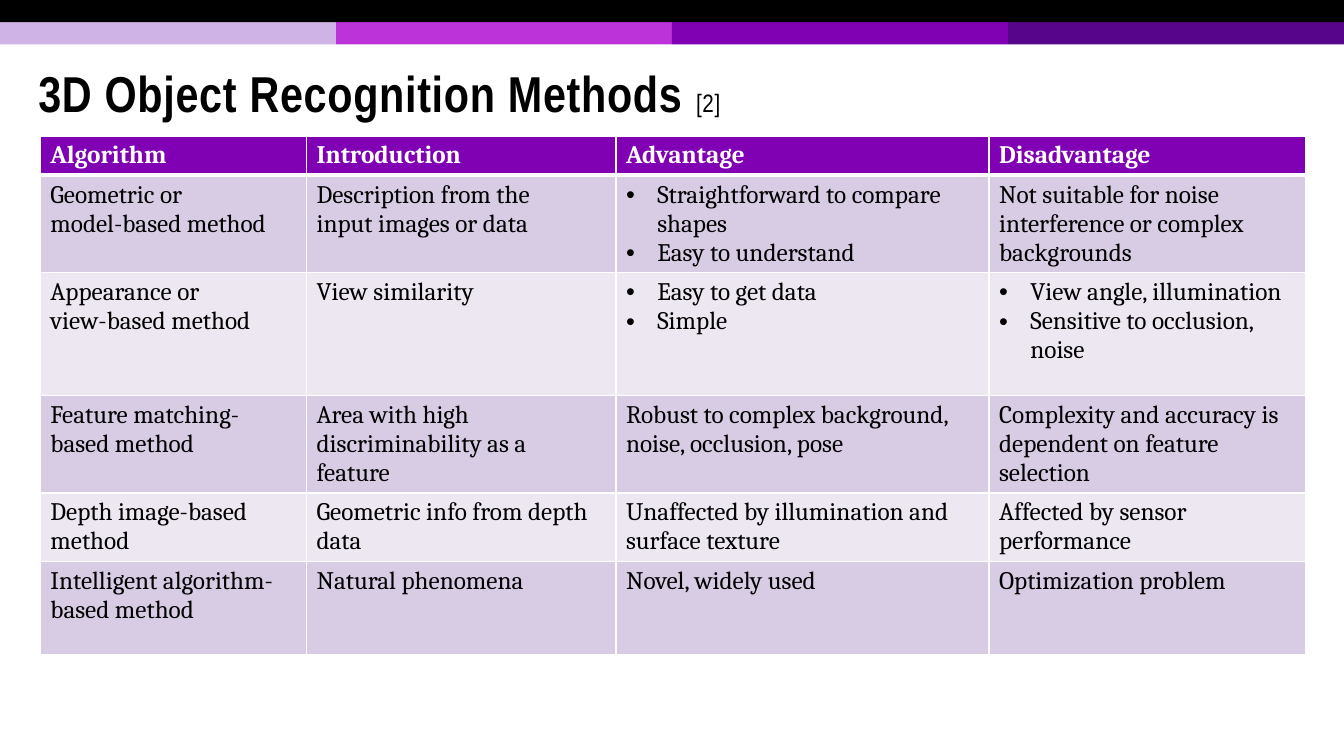
from dataclasses import dataclass

from lxml.etree import SubElement
from pptx import Presentation
from pptx.dml.color import RGBColor
from pptx.enum.shapes import MSO_SHAPE as Shape
from pptx.enum.text import MSO_ANCHOR as Anchor, MSO_AUTO_SIZE as Fit, PP_ALIGN as Align
from pptx.oxml.ns import qn
from pptx.util import Inches, Pt

TITLE = "3D Object Recognition Methods "
CITE = "[2]"
HEADS = ["Algorithm", "Introduction", "Advantage", "Disadvantage"]
# A string is plain text, one paragraph a line; a tuple is a bulleted list.
ROWS = [
    ["Geometric or\nmodel-based method",
     "Description from the\ninput images or data",
     ("Straightforward to compare shapes", "Easy to understand"),
     "Not suitable for noise interference or complex backgrounds"],
    ["Appearance or\nview-based method",
     "View similarity",
     ("Easy to get data", "Simple"),
     ("View angle, illumination", "Sensitive to occlusion, noise")],
    ["Feature matching- based method",
     "Area with high\ndiscriminability as a\nfeature",
     "Robust to complex background, noise, occlusion, pose",
     "Complexity and accuracy is dependent on feature selection"],
    ["Depth image-based\nmethod",
     "Geometric info from depth data",
     "Unaffected by illumination and surface texture",
     "Affected by sensor performance"],
    ["Intelligent algorithm- based method",
     "Natural phenomena",
     "Novel, widely used",
     "Optimization problem"],
]
WIDTHS = [2.64, 3.07, 3.7, 3.14]
HEIGHTS = [0.29, 0.93, 1.22, 0.93, 0.66, 0.93]
WIDE, HIGH, BAR = 13.33, 7.5, 0.22


@dataclass(frozen=True)
class Theme:
    black: str = "000000"
    white: str = "FFFFFF"
    head: str = "8000B3"
    bands: tuple = ("D8CCE5", "EDE7F2")
    strip: tuple = ("CFB3E6", "BD33DA", "8000B3", "57058A")
    title_font: str = "Arial Narrow"
    font: str = "Cambria"
    title_size: int = 36
    size: int = 18


LOOK = Theme()


def paint(item, color):
    item.fill.solid()
    item.fill.fore_color.rgb = RGBColor.from_string(color)


def add_run(para, text, font, size, color, bold):
    run = para.add_run()
    run.text = text
    run.font.name, run.font.size, run.font.bold = font, Pt(size), bold
    run.font.color.rgb = RGBColor.from_string(color)
    return run


def add_bar(slide, left, top, width, color):
    bar = slide.shapes.add_shape(
        Shape.RECTANGLE, Inches(left), Inches(top), Inches(width), Inches(BAR))
    bar.shadow.inherit = False
    paint(bar, color)
    bar.line.fill.background()


def add_title(slide):
    title = slide.shapes.title
    title.left, title.top = Inches(0.28), Inches(0.47)
    title.width, title.height = Inches(12.65), Inches(0.98)
    frame = title.text_frame
    frame.auto_size, frame.word_wrap = Fit.NONE, True
    frame.vertical_anchor = Anchor.MIDDLE
    para = frame.paragraphs[0]
    para.alignment, para.line_spacing = Align.LEFT, 0.85
    for text, size, bold in ((TITLE, LOOK.title_size, True), (CITE, LOOK.size, False)):
        run = add_run(para, text, LOOK.title_font, size, LOOK.black, bold)
        run.font._element.set("spc", "50")


def add_bullet(para):
    props = para._p.get_or_add_pPr()
    indent = Inches(0.31)
    props.set("marL", str(indent))
    props.set("indent", str(-indent))
    SubElement(props, qn("a:buFont"), typeface="Arial")
    SubElement(props, qn("a:buChar"), char="•")


def add_edges(cell, head, first):
    """Draw white cell borders, thick between the header and the body."""
    props = cell._tc.get_or_add_tcPr()
    thick = {"lnT": first, "lnB": head}
    for side in ("lnL", "lnR", "lnT", "lnB"):
        width = Pt(3 if thick.get(side) else 1)
        line = SubElement(props, qn("a:" + side), w=str(width))
        fill = SubElement(line, qn("a:solidFill"))
        SubElement(fill, qn("a:srgbClr"), val=LOOK.white)


def fill_cell(cell, item, row):
    head = row == 0
    add_edges(cell, head, row == 1)
    paint(cell, LOOK.head if head else LOOK.bands[(row - 1) % 2])
    listed = isinstance(item, tuple)
    frame = cell.text_frame
    for i, text in enumerate(item if listed else item.split("\n")):
        para = frame.add_paragraph() if i else frame.paragraphs[0]
        if listed:
            add_bullet(para)
        color = LOOK.white if head else LOOK.black
        add_run(para, text, LOOK.font, LOOK.size, color, head)


def add_grid(slide):
    data = [HEADS] + ROWS
    table = slide.shapes.add_table(
        len(data), len(HEADS), Inches(0.4), Inches(1.35),
        Inches(sum(WIDTHS)), Inches(sum(HEIGHTS))).table
    for col, width in zip(table.columns, WIDTHS):
        col.width = Inches(width)
    for r, (items, height) in enumerate(zip(data, HEIGHTS)):
        table.rows[r].height = Inches(height)
        for c, item in enumerate(items):
            fill_cell(table.cell(r, c), item, r)


def main():
    deck = Presentation()
    deck.slide_width, deck.slide_height = Inches(WIDE), Inches(HIGH)
    slide = deck.slides.add_slide(deck.slide_layouts[5])
    step = WIDE / len(LOOK.strip)
    for i, color in enumerate(LOOK.strip):
        add_bar(slide, i * step, BAR, step, color)
    add_bar(slide, 0, 0, WIDE, LOOK.black)
    add_title(slide)
    add_grid(slide)
    deck.save("out.pptx")


if __name__ == "__main__":
    main()
